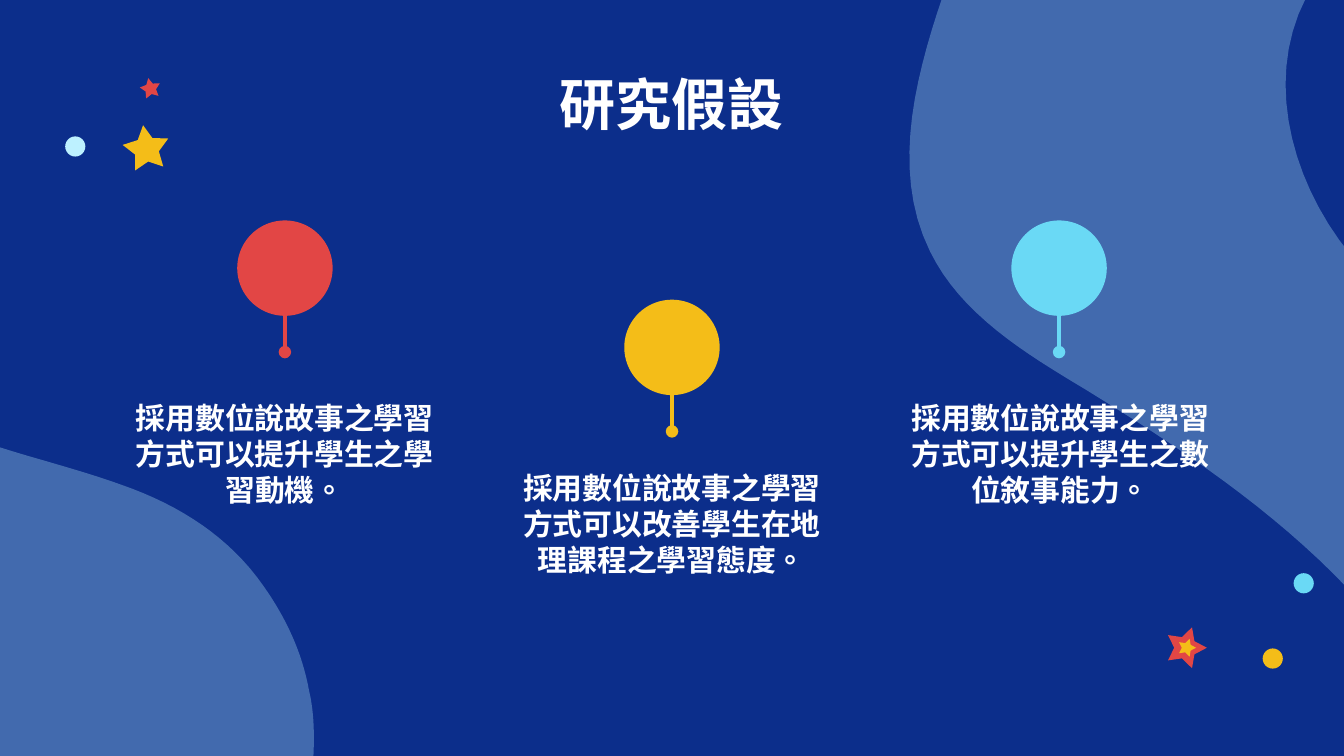
"""Build the research hypotheses slide with three pinned statements."""
from math import cos, pi, radians, sin

from lxml.etree import SubElement
from pptx import Presentation
from pptx.dml.color import RGBColor
from pptx.enum.shapes import MSO_CONNECTOR as Link, MSO_SHAPE as Form
from pptx.enum.text import MSO_ANCHOR as Anchor, MSO_AUTO_SIZE as Fit, PP_ALIGN as Align
from pptx.oxml.ns import qn
from pptx.util import Inches, Pt

NAVY = RGBColor(0x0C, 0x2E, 0x8B)
WHITE = RGBColor(0xFF, 0xFF, 0xFF)
RED = RGBColor(0xE2, 0x46, 0x45)
GOLD = RGBColor(0xF4, 0xBD, 0x18)
CYAN = RGBColor(0x6A, 0xD9, 0xF5)
ICE = RGBColor(0xBD, 0xF1, 0xFF)
FONT = "Noto Sans CJK SC"
WIDE = 10

TITLE = ("研究假設", (1.32, 0.41, 7.36, 0.71))
ITEMS = [
    ("採用數位說故事之學習方式可以提升學生之學習動機。", RED, 2.12, 1.64, (0.86, 2.87, 2.52, 0.99)),
    ("採用數位說故事之學習方式可以改善學生在地理課程之學習態度。", GOLD, 5, 2.23, (3.74, 3.39, 2.52, 1.55)),
    ("採用數位說故事之學習方式可以提升學生之數位敘事能力。", CYAN, 7.88, 1.64, (6.63, 2.87, 2.52, 1.55)),
]
BALL, STEM = 0.71, 0.27

BLOBS = [
    [(7.06, -0.16),
     [(6.83, 0.5), (6.61, 1.24), (6.92, 1.87)],
     [(7.15, 2.34), (7.63, 2.63), (8.08, 2.9)],
     [(8.78, 3.33), (9.47, 3.79), (10.03, 4.38)],
     [(10.14, 2)],
     [(9.64, 1.46), (9.38, 0.63), (9.72, -0.02)],
     [(9.8, -0.16)]],
    [(2.33, 5.67),
     [(2.34, 5.49), (2.34, 5.31), (2.3, 5.14)],
     [(2.25, 4.86), (2.13, 4.6), (1.96, 4.36)],
     [(1.71, 4), (1.34, 3.76), (0.91, 3.61)],
     [(0.58, 3.49), (0.24, 3.41), (-0.09, 3.3)],
     [(-0.09, 5.67)]],
]
STARS = [(1.09, 1.11, 0.18, -98, GOLD), (1.12, 0.66, 0.08, -102, RED),
         (8.82, 4.82, 0.16, 0, RED), (8.83, 4.82, 0.07, 0, GOLD)]
DOTS = [(0.56, 1.09, ICE), (9.47, 4.9, GOLD), (9.7, 4.34, CYAN)]
DOT = 0.15


def paint(shape, tint):
    shape.shadow.inherit = False
    shape.fill.solid()
    shape.fill.fore_color.rgb = tint
    shape.line.fill.background()
    return shape


def trace(parts, steps=16):
    points = [parts[0]]
    for part in parts[1:]:
        if len(part) == 1:
            points += part
            continue
        knots = [points[-1], *part]
        for step in range(1, steps + 1):
            t = step / steps
            mix = ((1 - t) ** 3, 3 * t * (1 - t) ** 2, 3 * t * t * (1 - t), t ** 3)
            points.append(tuple(sum(m * k[i] for m, k in zip(mix, knots)) for i in (0, 1)))
    return points


def star(x, y, size, turn):
    spots = []
    for i in range(10):
        reach = size * (0.52 if i % 2 else 1)
        angle = radians(turn) + i * pi / 5
        spots.append((x + reach * cos(angle), y + reach * sin(angle)))
    return spots


def outline(slide, points, tint):
    first, *rest = [(Inches(x), Inches(y)) for x, y in points]
    pen = slide.shapes.build_freeform(*first)
    pen.add_line_segments(rest)
    return paint(pen.convert_to_shape(), tint)


def disc(slide, x, y, size, tint):
    box = map(Inches, (x - size / 2, y - size / 2, size, size))
    return paint(slide.shapes.add_shape(Form.OVAL, *box), tint)


def write(holder, text, box, size, anchor, pitch=None):
    for name, value in zip(("left", "top", "width", "height"), box):
        setattr(holder, name, Inches(value))
    frame = holder.text_frame
    frame.text = text
    look = {"word_wrap": True, "auto_size": Fit.NONE, "vertical_anchor": anchor}
    look.update({f"margin_{side}": Inches(0.1) for side in ("left", "right", "top", "bottom")})
    for name, value in look.items():
        setattr(frame, name, value)
    para = frame.paragraphs[0]
    for name, value in {"alignment": Align.CENTER, "space_before": Pt(0), "line_spacing": pitch}.items():
        setattr(para, name, value)
    props = para._p.get_or_add_pPr()
    props.set("marL", "0")
    props.set("indent", "0")
    SubElement(props, qn("a:buNone"))
    font = para.runs[0].font
    for name, value in {"name": FONT, "size": Pt(size), "bold": True}.items():
        setattr(font, name, value)
    font.color.rgb = WHITE
    font._element.set("lang", "zh-TW")
    SubElement(font._element, qn("a:ea"), typeface=FONT)


def pin(slide, x, top, tint):
    disc(slide, x, top + BALL / 2, BALL, tint)
    low = top + BALL
    ends = map(Inches, (x, low, x, low + STEM))
    stem = slide.shapes.add_connector(Link.STRAIGHT, *ends)
    stem.line.color.rgb = tint
    stem.line.width = Pt(2.25)
    SubElement(stem.line._get_or_add_ln(), qn("a:tailEnd"), type="oval")
    SubElement(stem._element.spPr, qn("a:effectLst"))


def main():
    deck = Presentation()
    deck.slide_width, deck.slide_height = Inches(WIDE), Inches(WIDE * 9 / 16)
    slide = deck.slides.add_slide(deck.slide_layouts[4])
    back = slide.background.fill
    back.solid()
    back.fore_color.rgb = NAVY

    title, *bodies = list(slide.placeholders)
    spare = bodies.pop().element
    spare.getparent().remove(spare)
    write(title, *TITLE, 30, Anchor.MIDDLE)

    decor = []
    for parts in BLOBS:
        blob = outline(slide, trace(parts), ICE)
        tone = blob.element.spPr.find(f"{qn('a:solidFill')}/{qn('a:srgbClr')}")
        SubElement(tone, qn("a:alpha"), val="31000")
        decor.append(blob)
    decor += [outline(slide, star(*spot), tint) for *spot, tint in STARS]
    decor += [disc(slide, x, y, DOT, tint) for x, y, tint in DOTS]
    for shape in reversed(decor):
        title.element.getparent().insert(2, shape.element)

    for body, (text, tint, x, top, box) in zip(bodies, ITEMS):
        write(body, text, box, 16, Anchor.TOP, Pt(19.3))
        pin(slide, x, top, tint)
    deck.save("out.pptx")


if __name__ == "__main__":
    main()
